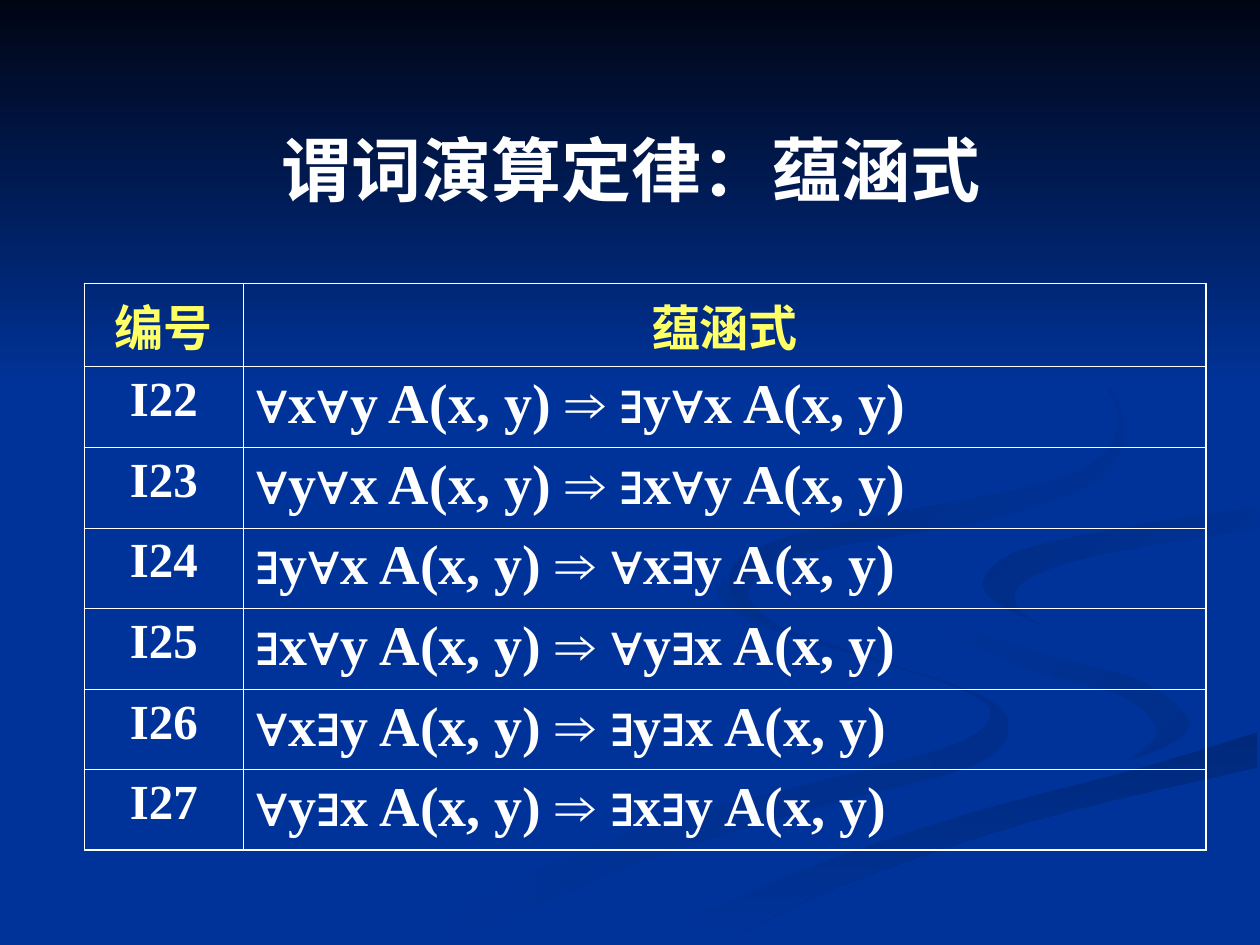
from lxml import etree
from pptx import Presentation
from pptx.dml.color import RGBColor
from pptx.enum.text import MSO_ANCHOR as Anchor, PP_ALIGN as Align
from pptx.oxml import parse_xml
from pptx.oxml.ns import nsdecls, qn
from pptx.util import Inches, Pt


def rgb(value):
    return RGBColor.from_string(value)


def smooth(anchors, steps=6):
    padded = [anchors[0], *anchors, anchors[-1]]
    points = []
    for segment in zip(padded, padded[1:], padded[2:], padded[3:]):
        for step in range(steps):
            t = step / steps
            weights = (
                (-t + 2 * t**2 - t**3) / 2,
                (2 - 5 * t**2 + 3 * t**3) / 2,
                (t + 4 * t**2 - 3 * t**3) / 2,
                (t**3 - t**2) / 2,
            )
            points.append([sum(w * anchor[axis] for w, anchor in zip(weights, segment)) for axis in (0, 1)])
    return points + [anchors[-1]]


presentation = Presentation()
presentation.slide_width, presentation.slide_height = Inches(10), Inches(7.5)
slide = presentation.slides.add_slide(presentation.slide_layouts[6])
slide.background.fill.solid()
slide.background.fill.fore_color.rgb = rgb("003399")

left_inner = [(5.75, 4.59), (5.72, 4.76), (6.11, 4.99), (6.97, 5.25), (7.62, 5.47), (7.86, 5.66),
              (7.59, 5.9), (6.52, 6.2), (4.99, 6.61), (3, 7.49)]
left_outer = [(3.61, 7.49), (4.99, 6.87), (6.51, 6.4), (7.69, 6.09), (8, 5.81), (7.81, 5.53),
              (6.82, 5.19), (6.02, 4.9), (5.75, 4.59)]
right_inner = [(7.24, 4.64), (7.39, 4.94), (8.15, 5.3), (8.92, 5.53), (9.18, 5.81), (8.94, 6.05)]
right_outer = [(8.94, 6.05), (9.32, 5.89), (9.43, 5.7), (9.05, 5.4), (8.3, 5.19), (7.45, 4.9), (7.24, 4.64)]
lower_top = [(5.03, 7.49), (6.3, 6.93), (7.64, 6.47), (9.03, 6.1), (9.98, 5.81)]
lower_bottom = [(9.98, 6.09), (8.21, 6.51), (6.7, 7.02), (5.71, 7.49)]
plain_top = [(9.98, 3.87), (8.74, 4.08), (7.55, 4.32), (7.24, 4.64)]
plain_tail = [(8.94, 6.05), (7.04, 6.55), (4.77, 7.49)]
plain_right = [(9.98, 5.38), (9.04, 5.19), (8.26, 4.96)]
hook_outer = [(8.26, 4.96), (7.91, 4.78), (7.81, 4.6), (8.1, 4.37), (8.98, 4.18), (9.98, 4.02)]
hook_inner = [(9.98, 4.2), (8.78, 4.39), (8.16, 4.59), (8.06, 4.8), (8.26, 4.96)]
upper_outer = [(7.62, 2.33), (8.43, 2.75), (8.9, 3.24), (8.76, 3.78), (7.86, 4.12), (6.83, 4.3),
               (6.14, 4.48), (5.94, 4.75), (6.22, 5)]
upper_inner = [(6.22, 5), (5.84, 4.79), (5.89, 4.41), (6.76, 4.14), (8.18, 3.86), (8.76, 3.6),
               (8.85, 3.2), (8.46, 2.79), (7.62, 2.33)]
shade_top = [(0, 0), (10, 0)]
shade_bottom = [(10, 3.08), (0, 3.08)]

backdrop = [
    ([left_inner, left_outer], "002E8A", "003399", 180),
    ([right_inner, right_outer], "002E8A", "003399", 135),
    ([lower_top, lower_bottom], "00297C", "003399", 270),
    ([plain_top, right_outer[::-1], plain_tail, lower_top, plain_right, hook_outer], "003399", "003399", 0),
    ([hook_outer, hook_inner], "003399", "002C85", 135),
    ([upper_outer, upper_inner], "003399", "002B81", 135),
    ([shade_top, shade_bottom], "000514", "003399", 270),
]
for edges, first_color, last_color, angle in backdrop:
    points = [(Inches(x), Inches(y)) for edge in edges for x, y in smooth(edge)]
    builder = slide.shapes.build_freeform(*points[0])
    builder.add_line_segments(points[1:], close=True)
    shape = builder.convert_to_shape()
    shape.shadow.inherit = False
    shape.line.fill.background()
    shape.fill.gradient()
    shape.fill.gradient_angle = angle
    for position, color in enumerate((first_color, last_color)):
        stop = shape.fill.gradient_stops[position]
        stop.position = position
        stop.color.rgb = rgb(color)

title = slide.shapes.add_textbox(Inches(0.51), Inches(0.91), Inches(9), Inches(0.86))
title.text_frame.word_wrap = True
title.text_frame.vertical_anchor = Anchor.MIDDLE

laws = [
    ("I22", "∀x∀y", "∃y∀x"),
    ("I23", "∀y∀x", "∃x∀y"),
    ("I24", "∃y∀x", "∀x∃y"),
    ("I25", "∃x∀y", "∀y∃x"),
    ("I26", "∀x∃y", "∃y∃x"),
    ("I27", "∀y∃x", "∃x∃y"),
]
header_height, law_height = 0.66, 0.64
table_height = header_height + law_height * len(laws)
frame = slide.shapes.add_table(len(laws) + 1, 2, Inches(0.67), Inches(2.25), Inches(8.9), Inches(table_height))
table = frame.table
table.first_row = table.horz_banding = False
table.columns[0].width, table.columns[1].width = Inches(1.26), Inches(7.64)
for row in table.rows:
    row.height = Inches(law_height)
table.rows[0].height = Inches(header_height)

title_format = {"name": "Times New Roman", "bold": True, "size": Pt(40)}
label_format = title_format | {"size": Pt(28)}
formula_format = title_format | {"size": Pt(32)}
arrow_format = formula_format | {"name": "Arial"}

texts = [
    (title, Align.CENTER, "FFFFFF", [("谓词演算定律：蕴涵式", title_format)]),
    (table.cell(0, 0), Align.CENTER, "FFFF66", [("编号", label_format)]),
    (table.cell(0, 1), Align.CENTER, "FFFF66", [("蕴涵式", label_format)]),
]
for row, (number, premise, conclusion) in enumerate(laws, 1):
    formula = [
        (f"{premise} A(x, y) ", formula_format),
        ("⇒", arrow_format),
        (f" {conclusion} A(x, y)", formula_format),
    ]
    texts.append((table.cell(row, 0), Align.CENTER, "FFFFFF", [(number, label_format)]))
    texts.append((table.cell(row, 1), Align.LEFT, "FFFFFF", formula))

for holder, alignment, color, runs in texts:
    paragraph = holder.text_frame.paragraphs[0]
    paragraph.alignment = alignment
    for text, formats in runs:
        run = paragraph.add_run()
        run.text = text
        run.font.color.rgb = rgb(color)
        for name, value in formats.items():
            setattr(run.font, name, value)

for row in range(len(laws) + 1):
    for column in range(2):
        cell = table.cell(row, column)
        cell.fill.background()
        properties = cell._tc.get_or_add_tcPr()
        outer_sides = {"L": column == 0, "R": column == 1, "T": row == 0, "B": row == len(laws)}
        for index, (side, outer) in enumerate(outer_sides.items()):
            border = parse_xml(f'<a:ln{side} {nsdecls("a")} w="{Pt(1.08 if outer else 0.45)}"/>')
            fill = etree.SubElement(border, qn("a:solidFill"))
            etree.SubElement(fill, qn("a:srgbClr"), val="FFFFFF")
            properties.insert(index, border)

presentation.save("out.pptx")
